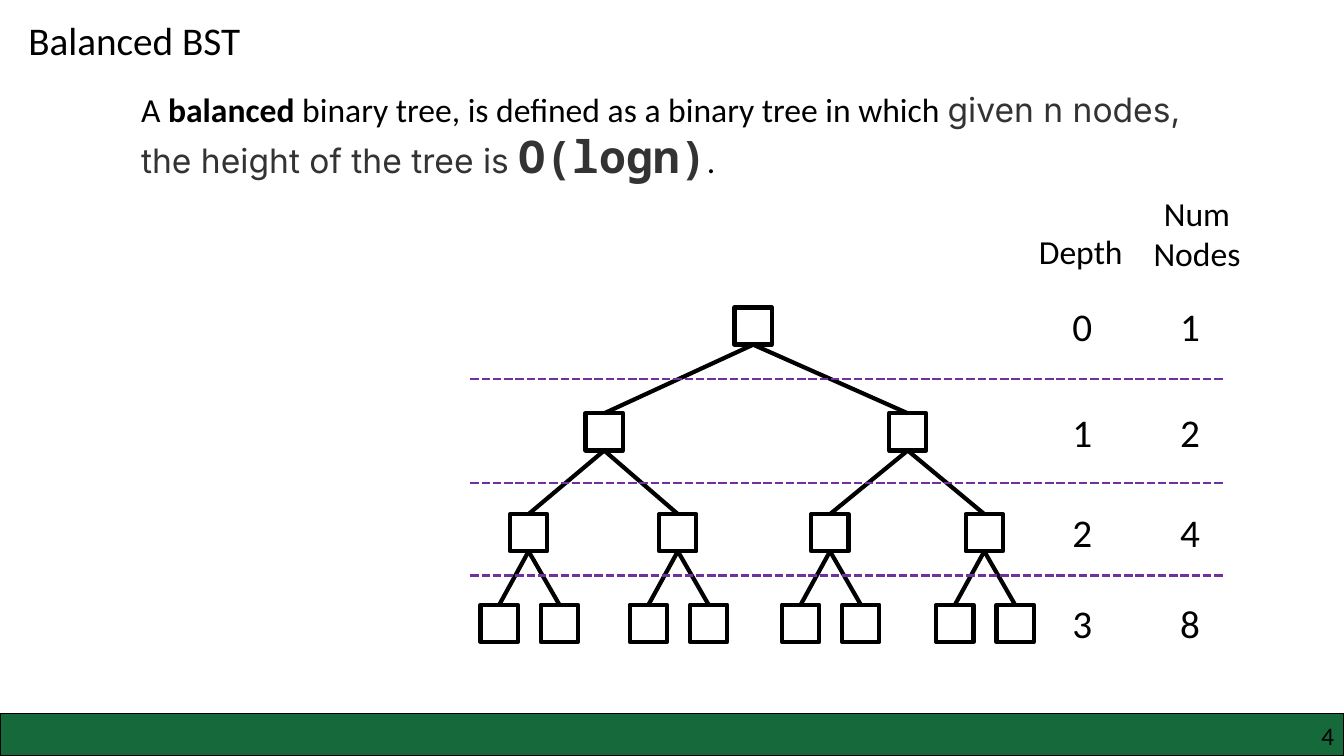
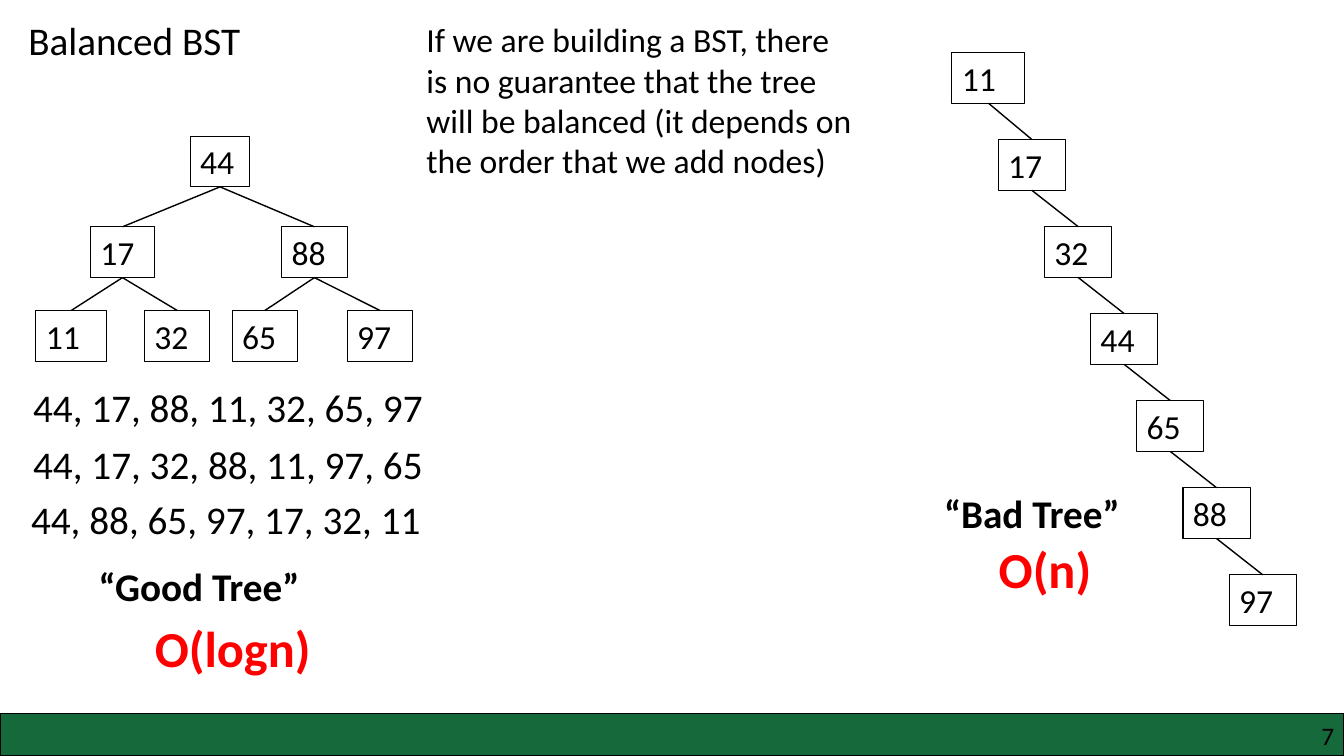
"""Build two slides on balanced binary search trees."""
from lxml import etree
from pptx import Presentation
from pptx.dml.color import RGBColor
from pptx.enum.dml import MSO_LINE
from pptx.enum.shapes import MSO_CONNECTOR, MSO_SHAPE
from pptx.enum.text import MSO_ANCHOR, MSO_AUTO_SIZE, PP_ALIGN
from pptx.oxml.ns import qn
from pptx.util import Pt

BLACK = RGBColor(0x00, 0x00, 0x00)
GREEN = RGBColor(0x15, 0x69, 0x3B)
GREY = RGBColor(0x33, 0x33, 0x33)
PURPLE = RGBColor(0x70, 0x30, 0xA0)
RED = RGBColor(0xFF, 0x00, 0x00)
LEFT, CENTER, RIGHT = PP_ALIGN.LEFT, PP_ALIGN.CENTER, PP_ALIGN.RIGHT
RECTANGLE = MSO_SHAPE.RECTANGLE
STRAIGHT = MSO_CONNECTOR.STRAIGHT
DASHED = MSO_LINE.SQUARE_DOT
TOP = MSO_ANCHOR.TOP
FIXED_SIZE = MSO_AUTO_SIZE.NONE
BOTTOM_SIDE, TOP_SIDE = 2, 0


def write(shape, text, size=24, font="Calibri", color=BLACK, bold=False, align=LEFT):
    """Append a formatted run to the last paragraph of a shape."""
    frame = shape.text_frame
    frame.word_wrap = True
    frame.auto_size = FIXED_SIZE
    paragraph = frame.paragraphs[-1]
    paragraph.alignment = align
    paragraph.space_before = Pt(0)
    run = paragraph.add_run()
    run.text = text
    run.font.size = Pt(size)
    run.font.name = font
    run.font.bold = bold
    run.font.color.rgb = color


def draw_line(slide, color, width, span=(0, 0, 0, 0), parent=None, child=None):
    """Draw a line over a span, or from a parent node down to its child."""
    line = slide.shapes.add_connector(STRAIGHT, *map(Pt, span))
    if parent is not None:
        line.begin_connect(parent, BOTTOM_SIDE)
        line.end_connect(child, TOP_SIDE)
    line.line.color.rgb = color
    line.line.width = Pt(width)
    etree.SubElement(line._element.spPr, qn("a:effectLst"))
    return line


deck = Presentation()
deck.slide_width, deck.slide_height = Pt(960), Pt(540)

definition = [
    ("A ", {}),
    ("balanced", {"bold": True}),
    (" binary tree, is defined as a binary tree in which ", {}),
    ("given n nodes, the height of the tree is ", {"font": "Inter", "color": GREY}),
    ("O(logn)", {"font": "Noto Sans Mono", "color": GREY, "size": 32, "bold": True}),
    (".", {}),
]
warning = [
    ("If we are building a BST, there is no guarantee that the tree will be "
     "balanced (it depends on the order that we add nodes)", {}),
]
pages = [
    ("4", definition, (93.6, 59.8, 766.8, 75)),
    ("7", warning, (297.4, 10.1, 321.8, 152.6)),
]

for page_number, statement, area in pages:
    slide = deck.slides.add_slide(deck.slide_layouts[1])

    band = slide.shapes.add_shape(RECTANGLE, Pt(0), Pt(509.8), Pt(960), Pt(30.2))
    band.shadow.inherit = False
    band.fill.solid()
    band.fill.fore_color.rgb = GREEN
    band.line.color.rgb = BLACK
    band.line.width = Pt(1)

    number = slide.shapes.add_textbox(Pt(732), Pt(514.8), Pt(221), Pt(21.6))
    number.text_frame.margin_left = number.text_frame.margin_right = 0
    number.text_frame.margin_top = number.text_frame.margin_bottom = 0
    write(number, page_number, size=18, align=RIGHT)

    title = slide.shapes.title
    title.left, title.top, title.width, title.height = map(Pt, (13, 7.9, 200, 41))
    title.text_frame.vertical_anchor = TOP
    write(title, "Balanced BST", size=28)

    body = slide.placeholders[1]
    body.left, body.top, body.width, body.height = map(Pt, area)
    for text, style in statement:
        write(body, text, **style)
    properties = body.text_frame.paragraphs[0]._p.get_or_add_pPr()
    properties.set("marL", "0")
    properties.set("indent", "0")
    etree.SubElement(properties, qn("a:buNone"))

depth_slide, order_slide = deck.slides

NODE_SIDE = 26.6
DEPTH_CENTER, COUNT_CENTER = 773, 850
level_tops = [219.6, 295.2, 367.2, 432]
level_centers = [[538], [431.6, 648.4], [377.6, 484.2, 592.9, 703.1]]
level_centers.append([x + shift for x in level_centers[-1] for shift in (-21, 22)])

parents = []
for depth, (top, centers) in enumerate(zip(level_tops, level_centers)):
    nodes = []
    for index, center in enumerate(centers):
        node = depth_slide.shapes.add_shape(
            RECTANGLE, Pt(center - NODE_SIDE / 2), Pt(top), Pt(NODE_SIDE), Pt(NODE_SIDE))
        node.shadow.inherit = False
        node.fill.background()
        node.line.color.rgb = BLACK
        node.line.width = Pt(3)
        nodes.append(node)
        if parents:
            draw_line(depth_slide, BLACK, 3, parent=parents[index // 2], child=node)
    parents = nodes
    for center, value in ((DEPTH_CENTER, depth), (COUNT_CENTER, len(centers))):
        figure = depth_slide.shapes.add_textbox(
            Pt(center - 30), Pt(top - 7.4), Pt(60), Pt(41))
        write(figure, str(value), size=28, align=CENTER)

for y in (270.7, 345, 411):
    draw_line(depth_slide, PURPLE, 2, span=(336, y, 873.5, y)).line.dash_style = DASHED

depth_heading = depth_slide.shapes.add_textbox(Pt(735), Pt(161.3), Pt(90), Pt(36))
write(depth_heading, "Depth")
count_heading = depth_slide.shapes.add_textbox(Pt(810), Pt(134), Pt(90), Pt(65.5))
write(count_heading, "Num", align=CENTER)
count_heading.text_frame.add_paragraph()
write(count_heading, "Nodes", align=CENTER)

good_tree = [
    ("44", 135.8, 97.2, 42.8, None),
    ("17", 64.6, 162, 45.8, 0),
    ("88", 201.2, 162, 46.8, 0),
    ("11", 25.6, 221.8, 50.6, 1),
    ("32", 103.2, 221.8, 46.8, 1),
    ("65", 165.8, 221.8, 46.8, 2),
    ("97", 248, 221.8, 46.8, 2),
]
bad_tree = [
    (key, 680 + 33 * step, 37.4 + 62.2 * step, 48 if step else 52,
     step - 1 if step else None)
    for step, key in enumerate(["11", "17", "32", "44", "65", "88", "97"])
]
for tree in (good_tree, bad_tree):
    nodes = []
    for key, left, top, width, parent_index in tree:
        node = order_slide.shapes.add_shape(
            RECTANGLE, Pt(left), Pt(top), Pt(width), Pt(36.3))
        node.shadow.inherit = False
        node.fill.background()
        node.line.color.rgb = BLACK
        node.line.width = Pt(0.75)
        write(node, key)
        nodes.append(node)
        if parent_index is not None:
            draw_line(order_slide, BLACK, 1, parent=nodes[parent_index], child=node)

remarks = [
    ("44, 17, 88, 11, 32, 65, 97", 16.6, 270, 361, {"size": 28}),
    ("44, 17, 32, 88, 11, 97, 65", 16.6, 311, 361, {"size": 28}),
    ("44, 88, 65, 97, 17, 32, 11", 15.1, 350.6, 361, {"size": 28}),
    ("“Good Tree”", 63.4, 398.2, 170, {"size": 28, "bold": True}),
    ("O(logn)", 103.5, 437, 140, {"size": 36, "bold": True, "color": RED}),
    ("“Bad Tree”", 667.4, 345.6, 150, {"size": 28, "bold": True}),
    ("O(n)", 706.3, 380.9, 95, {"size": 36, "bold": True, "color": RED}),
]
for text, left, top, width, style in remarks:
    remark = order_slide.shapes.add_textbox(
        Pt(left), Pt(top), Pt(width), Pt(style["size"] * 1.2 + 7.2))
    write(remark, text, **style)

deck.save("out.pptx")
